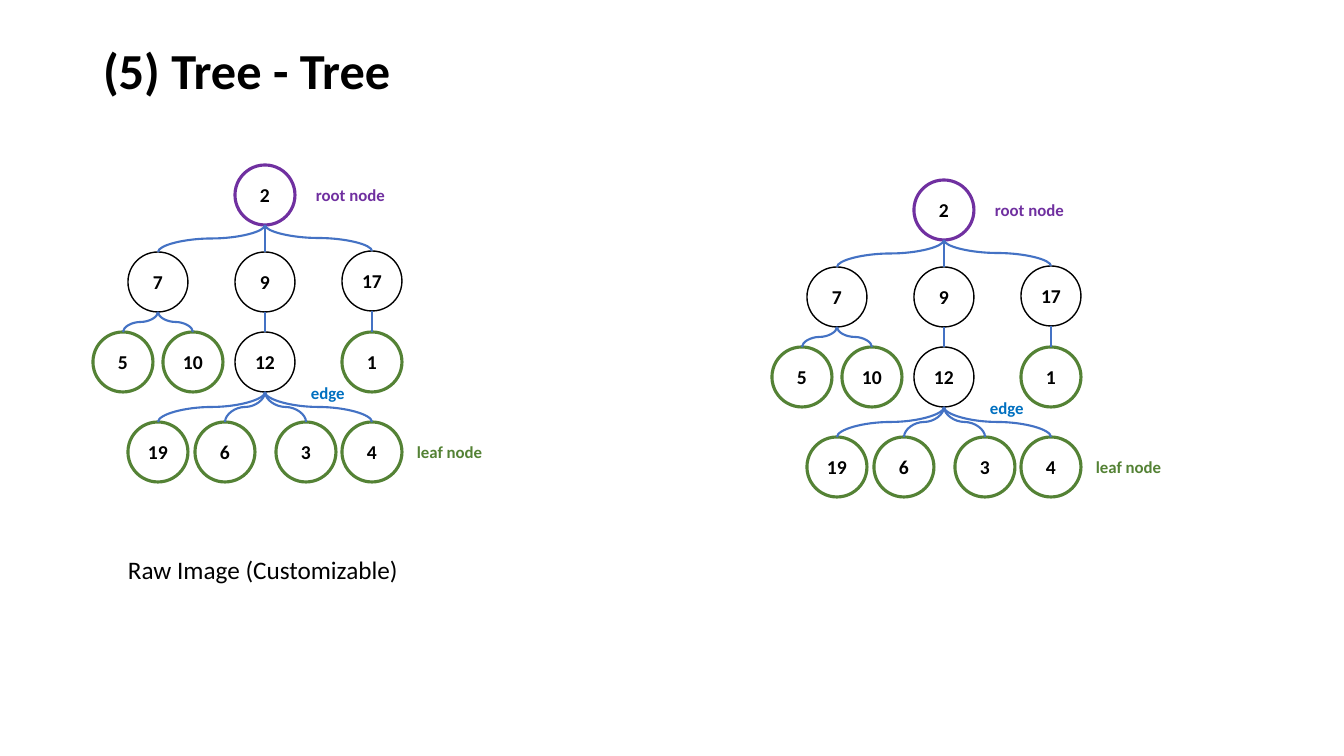
from lxml.etree import SubElement
from pptx import Presentation
from pptx.dml.color import RGBColor
from pptx.enum.shapes import MSO_CONNECTOR, MSO_SHAPE
from pptx.enum.text import MSO_ANCHOR, MSO_AUTO_SIZE, PP_ALIGN
from pptx.oxml.ns import qn
from pptx.util import Emu, Pt

EMU_PER_PIXEL = 914400 / 100.8
FONT = "Calibri"
COLORS = {
    "black": "000000",
    "white": "FFFFFF",
    "root": "7030A0",
    "leaf": "548235",
    "edge": "4472C4",
    "edge_label": "0070C0",
}

# Tree data: left and top of each node, then the children of each parent
NODE_SIZE = 60
NODES = {
    "2": (235, 165),
    "7": (128, 252), "9": (235, 252), "17": (342, 251),
    "5": (93, 332), "10": (163, 332), "12": (235, 332), "1": (342, 332),
    "19": (128, 422), "6": (195, 422), "3": (276, 422), "4": (342, 422),
}
CHILDREN = {
    "2": ["7", "9", "17"],
    "7": ["5", "10"],
    "9": ["12"],
    "17": ["1"],
    "12": ["19", "6", "3", "4"],
}
ROOT = "2"
LABELS = [
    ("root node", (306, 180, 91, 30), "root"),
    ("leaf node", (407, 437, 87, 30), "leaf"),
    ("edge", (301, 378, 54, 30), "edge_label"),
]

# Connection sites of an ellipse
TOP_SITE, BOTTOM_SITE = 0, 4


def px(pixels):
    return Emu(round(pixels * EMU_PER_PIXEL))


def color(name):
    return RGBColor.from_string(COLORS[name])


def add_run(paragraph, text, size, color_name="black", bold=True):
    run = paragraph.add_run()
    run.text = text
    run.font.name = FONT
    run.font.size = Pt(size)
    run.font.bold = bold
    run.font.color.rgb = color(color_name)


def set_title(slide, text):
    title = slide.shapes.title
    title.left, title.top, title.width, title.height = map(px, (93, 40, 1159, 66))
    title.text_frame.vertical_anchor = MSO_ANCHOR.MIDDLE
    paragraph = title.text_frame.paragraphs[0]
    paragraph.alignment = PP_ALIGN.LEFT
    paragraph.line_spacing = 0.9
    add_run(paragraph, text, 36)


def add_label(shapes, text, box, size, color_name="black", bold=True):
    text_box = shapes.add_textbox(*map(px, box))
    text_box.text_frame.word_wrap = False
    text_box.text_frame.auto_size = MSO_AUTO_SIZE.SHAPE_TO_FIT_TEXT
    add_run(text_box.text_frame.paragraphs[0], text, size, color_name, bold)


def add_node(shapes, label, left, top):
    node = shapes.add_shape(MSO_SHAPE.OVAL, *map(px, (left, top, NODE_SIZE, NODE_SIZE)))
    node.shadow.inherit = False
    node.fill.solid()
    node.fill.fore_color.rgb = color("white")
    if label == ROOT:
        outline, width = "root", 2.25
    elif label in CHILDREN:
        outline, width = "black", 1
    else:
        outline, width = "leaf", 2.25
    node.line.color.rgb = color(outline)
    node.line.width = Pt(width)
    frame = node.text_frame
    frame.margin_left = frame.margin_right = 0
    frame.word_wrap = True
    frame.vertical_anchor = MSO_ANCHOR.MIDDLE
    frame.paragraphs[0].alignment = PP_ALIGN.CENTER
    add_run(frame.paragraphs[0], label, 14)
    return node


def add_edge(shapes, parent, child):
    start_x, start_y = parent.left + parent.width // 2, parent.top + parent.height
    end_x, end_y = child.left + child.width // 2, child.top
    across, down = end_x - start_x, end_y - start_y
    if across == 0:
        connector = shapes.add_connector(MSO_CONNECTOR.STRAIGHT, start_x, start_y, end_x, end_y)
    else:
        # A curve that leaves downwards is a sideways curve turned by a quarter
        left = (start_x + end_x - down) // 2
        top = (start_y + end_y - abs(across)) // 2
        begin, end = (left + down, left) if across > 0 else (left, left + down)
        connector = shapes.add_connector(MSO_CONNECTOR.CURVE, begin, top, end, top + abs(across))
        quarter_turns = 3 if across > 0 else 1
        transform = connector.element.spPr.find(qn("a:xfrm"))
        transform.set("rot", str(quarter_turns * 5400000))
    connector.line.color.rgb = color("edge")
    connector.line.width = Pt(1.5)
    SubElement(connector.element.spPr, qn("a:effectLst"))

    # Attach both ends to the nodes
    links = next(connector.element.iter(qn("p:cNvCxnSpPr")))
    for tag, node, site in (("a:stCxn", parent, BOTTOM_SITE), ("a:endCxn", child, TOP_SITE)):
        SubElement(links, qn(tag), id=str(node.shape_id), idx=str(site))


def add_tree(shapes, shift_x=0, shift_y=0):
    nodes = {
        label: add_node(shapes, label, left + shift_x, top + shift_y)
        for label, (left, top) in NODES.items()
    }
    for parent, children in CHILDREN.items():
        for child in children:
            add_edge(shapes, nodes[parent], nodes[child])
    for text, (left, top, width, height), color_name in LABELS:
        box = (left + shift_x, top + shift_y, width, height)
        add_label(shapes, text, box, 12, color_name)


def main():
    presentation = Presentation()
    presentation.slide_width, presentation.slide_height = px(1344), px(756)
    slide = presentation.slides.add_slide(presentation.slide_layouts[5])

    set_title(slide, "(5) Tree - Tree")

    # Loose tree on the left, grouped tree on the right
    add_tree(slide.shapes)
    add_tree(slide.shapes.add_group_shape().shapes, 679, 15)

    # Caption
    add_label(slide.shapes, "Raw Image (Customizable)", (118, 549, 293, 40), 18, bold=False)

    presentation.save("out.pptx")


main()
